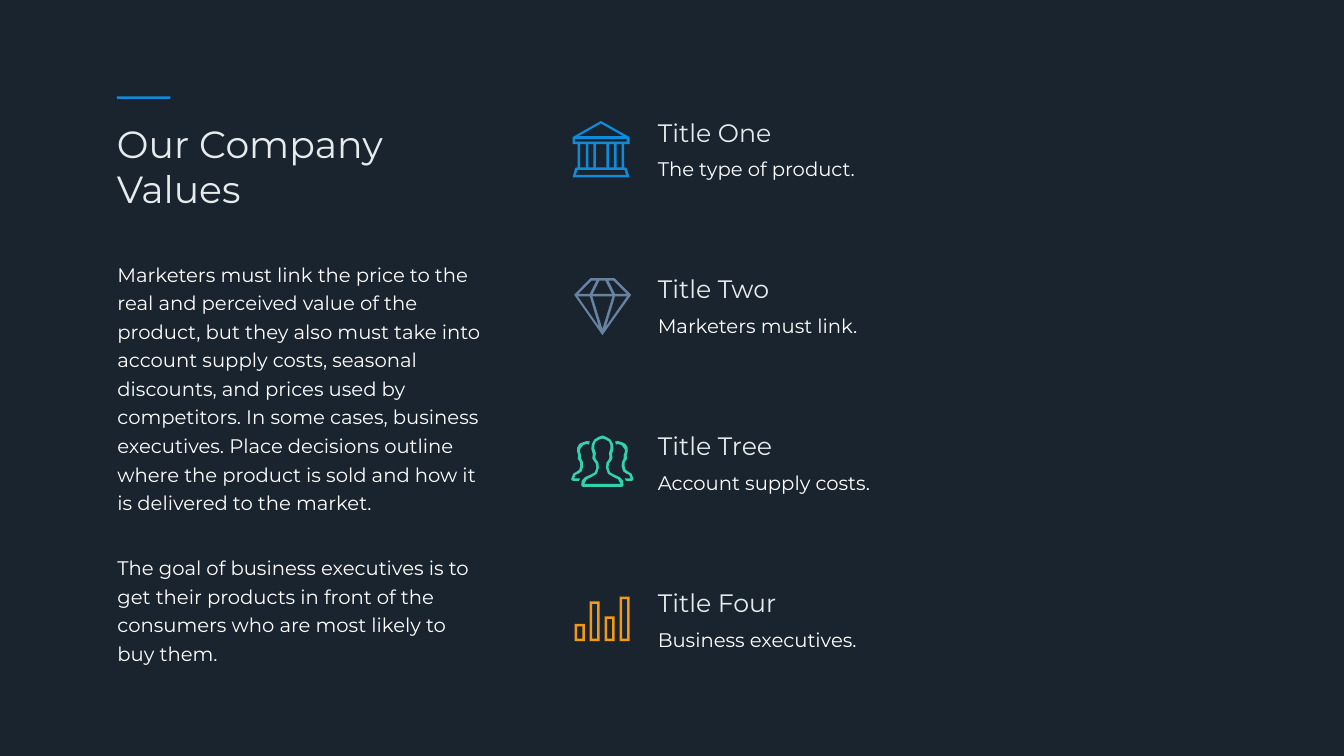
from pptx import Presentation
from pptx.dml.color import RGBColor
from pptx.enum.shapes import MSO_SHAPE
from pptx.enum.text import MSO_ANCHOR, MSO_AUTO_SIZE, PP_ALIGN
from pptx.util import Inches, Pt

BLUE, SLATE, GREEN, ORANGE = "0F8BDA", "6882A1", "33D1AD", "F29A15"
PEOPLE_AXIS = 11.95
ROW_TOP, ROW_PITCH = 2.27, 3.11
HEADING = {"size": Pt(36), "color": "E6ECED"}
BODY = {"size": Pt(28), "color": "FFFFFF"}


def color(value):
    """Return the colour for a hex string."""
    return RGBColor.from_string(value)


def rectangle(left, top, right, bottom):
    """Return the corners of a rectangle."""
    return [(left, top), (right, top), (right, bottom), (left, bottom)]


def mirror(points):
    """Return points reflected about the axis of the people icon, in reverse order."""
    return [(2 * PEOPLE_AXIS - x, y) for x, y in reversed(points)]


def bank_contours():
    """Return the outline and openings of the bank icon."""
    outline = [(11.92, 2.4), (12.49, 2.72), (12.49, 2.86), (12.38, 2.86), (12.38, 3.32),
               (12.43, 3.33), (12.49, 3.52), (11.36, 3.52), (11.41, 3.33), (11.46, 3.32),
               (11.46, 2.86), (11.36, 2.86), (11.36, 2.72)]
    roof = [(11.92, 2.45), (12.36, 2.7), (11.48, 2.7)]
    base = [(11.46, 3.37), (12.39, 3.37), (12.42, 3.47), (11.42, 3.47)]
    gaps = [(11.51, 11.62), (11.67, 11.77), (11.82, 12.03), (12.08, 12.18), (12.23, 12.33)]
    columns = [rectangle(left, 2.86, right, 3.32) for left, right in gaps]
    return [outline, roof, rectangle(11.41, 2.76, 12.43, 2.81), *columns, base]


def diamond_contours():
    """Return the outline and facets of the diamond icon."""
    return [
        [(11.71, 5.52), (12.19, 5.52), (12.52, 5.85), (11.95, 6.65), (11.39, 5.85)],
        [(11.73, 5.57), (11.83, 5.57), (11.7, 5.83), (11.47, 5.83)],
        [(11.89, 5.57), (12.01, 5.57), (12.14, 5.83), (11.76, 5.83)],
        [(12.07, 5.57), (12.17, 5.57), (12.43, 5.83), (12.2, 5.83)],
        [(11.46, 5.88), (11.7, 5.88), (11.88, 6.48)],
        [(11.75, 5.88), (12.15, 5.88), (11.95, 6.53)],
        [(12.2, 5.88), (12.44, 5.88), (12.02, 6.48)],
    ]


def people_contours():
    """Return the contours of the centre figure and its two neighbours."""
    outer = [(11.95, 8.64), (11.87, 8.67), (11.79, 8.72), (11.74, 8.81), (11.73, 8.91),
             (11.76, 9.01), (11.75, 9.09), (11.77, 9.13), (11.82, 9.2), (11.83, 9.28),
             (11.8, 9.37), (11.73, 9.41), (11.6, 9.47), (11.54, 9.54), (11.53, 9.63),
             (11.56, 9.66)]
    inner = [(11.95, 8.7), (11.89, 8.72), (11.82, 8.76), (11.79, 8.83), (11.79, 8.9),
             (11.82, 8.99), (11.81, 9.07), (11.82, 9.11), (11.87, 9.18), (11.88, 9.28),
             (11.84, 9.4), (11.74, 9.46), (11.64, 9.51), (11.59, 9.6)]
    neighbour = [(11.47, 9.4), (11.54, 9.35), (11.57, 9.25), (11.56, 9.16), (11.53, 9.1),
                 (11.53, 9.05), (11.52, 9.01), (11.5, 8.95), (11.51, 8.91), (11.57, 8.83),
                 (11.64, 8.81), (11.68, 8.82), (11.7, 8.76), (11.64, 8.75), (11.55, 8.78),
                 (11.49, 8.81), (11.45, 8.88), (11.45, 8.96), (11.47, 9.04), (11.46, 9.1),
                 (11.48, 9.13), (11.51, 9.18), (11.51, 9.25), (11.49, 9.32), (11.45, 9.35),
                 (11.37, 9.4), (11.33, 9.51), (11.36, 9.54), (11.48, 9.54), (11.51, 9.49),
                 (11.39, 9.49), (11.42, 9.42)]
    return [outer + mirror(outer), inner + mirror(inner), neighbour, mirror(neighbour)]


def bars_contours():
    """Return the outer and inner edges of four bars."""
    contours = []
    for index, top in enumerate((12.38, 11.93, 12.23, 11.84)):
        left = 11.4 + 0.89 * index / 3
        contours.append(rectangle(left, top, left + 0.2, 12.72))
        contours.append(rectangle(left + 0.05, top + 0.05, left + 0.15, 12.67))
    return contours


class SlideBuilder:
    """Holds the text style and the current slide."""

    font_name = "Montserrat"

    def __init__(self, presentation, background):
        """Add a title-only slide with a plain background."""
        self.slide = presentation.slides.add_slide(presentation.slide_layouts[5])
        self.slide.background.fill.solid()
        self.slide.background.fill.fore_color.rgb = color(background)

    def set_text(self, shape, paragraphs, style, frame_format=None, paragraph_format=None, gap=0):
        """Fill a shape with formatted paragraphs."""
        frame = shape.text_frame
        frame.text = "\n".join(paragraphs)
        defaults = {"word_wrap": True, "auto_size": MSO_AUTO_SIZE.SHAPE_TO_FIT_TEXT,
                    "vertical_anchor": MSO_ANCHOR.TOP}
        for name, value in {**defaults, **(frame_format or {})}.items():
            setattr(frame, name, value)
        for index, paragraph in enumerate(frame.paragraphs):
            formats = {"alignment": PP_ALIGN.LEFT, "space_before": Pt(gap if index else 0)}
            for name, value in {**formats, **(paragraph_format or {})}.items():
                setattr(paragraph, name, value)
            paragraph.font.name = self.font_name
            paragraph.font.size = style["size"]
            paragraph.font.color.rgb = color(style["color"])

    def title(self, text, left, top, width, height, style):
        """Place and format the title placeholder."""
        shape = self.slide.shapes.title
        box = {"left": left, "top": top, "width": width, "height": height}
        for name, value in box.items():
            setattr(shape, name, Inches(value))
        self.set_text(shape, [text], style)

    def text(self, paragraphs, left, top, width, height, style, **formats):
        """Add a text box."""
        shape = self.slide.shapes.add_textbox(*map(Inches, (left, top, width, height)))
        self.set_text(shape, paragraphs, style, **formats)

    def paint(self, shape, fill):
        """Give a shape a plain fill with no line or shadow."""
        shape.shadow.inherit = False
        shape.fill.solid()
        shape.fill.fore_color.rgb = color(fill)
        shape.line.fill.background()

    def bar(self, left, top, width, height, fill):
        """Add a plain rectangle."""
        box = map(Inches, (left, top, width, height))
        self.paint(self.slide.shapes.add_shape(MSO_SHAPE.RECTANGLE, *box), fill)

    def icon(self, contours, fill):
        """Add one freeform made of closed contours."""
        scaled = [[(Inches(x), Inches(y)) for x, y in contour] for contour in contours]
        builder = self.slide.shapes.build_freeform(*scaled[0][0])
        for index, contour in enumerate(scaled):
            if index:
                builder.move_to(*contour[0])
            builder.add_line_segments(contour[1:], close=True)
        self.paint(builder.convert_to_shape(), fill)


def main():
    """Build the company values slide."""
    presentation = Presentation()
    presentation.slide_width = Inches(26.66)
    presentation.slide_height = Inches(15)
    builder = SlideBuilder(presentation, "19242F")

    builder.title("Our Company Values", 2.22, 2.34, 5.72, 1.92, {**HEADING, "size": Pt(54)})
    builder.text(
        ["Marketers must link the price to the real and perceived value of the product, but they "
         "also must take into account supply costs, seasonal discounts, and prices used by "
         "competitors. In some cases, business executives. Place decisions outline where the "
         "product is sold and how it is delivered to the market.",
         "The goal of business executives is to get their products in front of the consumers who "
         "are most likely to buy them."],
        2.09, 4.99, 7.73, 8.43, BODY, gap=52,
        frame_format={"margin_left": Inches(0.24), "margin_right": Inches(0.24),
                      "margin_top": Inches(0.12), "margin_bottom": Inches(0.12)},
        paragraph_format={"line_spacing": Pt(40.8)})
    builder.bar(2.32, 1.91, 1.06, 0.05, BLUE)

    values = [
        ("Title One", "The type of product.", 4.2, bank_contours(), BLUE),
        ("Title Two", "Marketers must link.", 4.2, diamond_contours(), SLATE),
        ("Title Tree", "Account supply costs.", 4.47, people_contours(), GREEN),
        ("Title Four", "Business executives.", 4.2, bars_contours(), ORANGE),
    ]
    for index, (heading, description, width, contours, fill) in enumerate(values):
        top = ROW_TOP + ROW_PITCH * index
        builder.text([heading], 12.95, top, 4.05, 0.71, HEADING)
        builder.text([description], 12.95, top + 0.8, width, 0.57, BODY)
        builder.icon(contours, fill)

    presentation.save("out.pptx")


if __name__ == "__main__":
    main()
